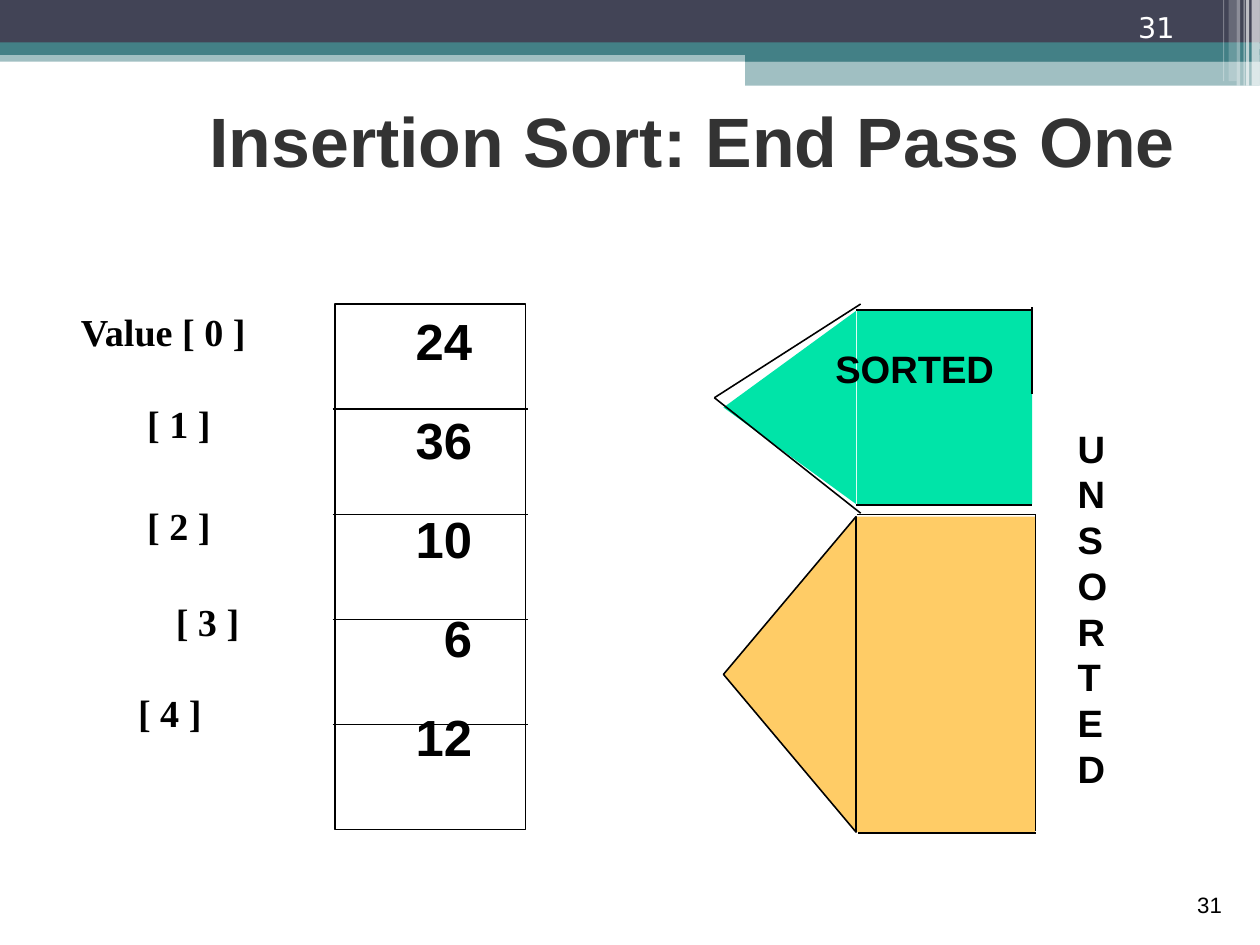
from lxml import etree
from pptx import Presentation
from pptx import util as u
from pptx.dml import color
from pptx.enum import shapes, text
from pptx.oxml import ns

ALIGN = text.PP_ALIGN
ANCHOR = text.MSO_ANCHOR
BLACK = "000000"


def paint(hue):
    """Turn a hex string into a colour."""
    return color.RGBColor.from_string(hue)


def block(slide, x, y, w, h, fill=None, line=None, alpha=100, kind="RECTANGLE", turn=0):
    """Draw a preset shape that fills the box after it is turned."""
    if turn in (90, 270):
        x, y, w, h = x + (w - h) / 2, y + (h - w) / 2, h, w
    shape = slide.shapes.add_shape(
        shapes.MSO_SHAPE[kind], *map(u.Inches, (x, y, w, h)))
    shape.shadow.inherit = False
    shape.rotation = turn
    if fill:
        shape.fill.solid()
        shape.fill.fore_color.rgb = paint(fill)
        if alpha < 100:
            tint = shape.fill._xPr.find(".//" + ns.qn("a:srgbClr"))
            etree.SubElement(tint, ns.qn("a:alpha"), val=str(alpha * 1000))
    else:
        shape.fill.background()
    if line:
        shape.line.color.rgb = paint(line)
        shape.line.width = u.Pt(1)
    else:
        shape.line.fill.background()


def rule(slide, x1, y1, x2, y2):
    """Draw a thin black line."""
    line = slide.shapes.add_connector(
        shapes.MSO_CONNECTOR.STRAIGHT, *map(u.Inches, (x1, y1, x2, y2)))
    line.line.color.rgb = paint(BLACK)
    line.line.width = u.Pt(1)
    etree.SubElement(line._element.spPr, ns.qn("a:effectLst"))


def write(shape, rows, size, font="Arial", hue=BLACK, bold=True,
          align=ALIGN.LEFT, anchor=ANCHOR.TOP, gaps=None, steps=None):
    """Write one paragraph per row with its own gap and indent."""
    frame = shape.text_frame
    frame.word_wrap = True
    frame.auto_size = text.MSO_AUTO_SIZE.NONE
    frame.vertical_anchor = anchor
    for i, row in enumerate(rows):
        para = frame.add_paragraph() if i else frame.paragraphs[0]
        para.alignment = align
        if i and gaps:
            para.space_before = u.Pt(gaps[i - 1])
        if steps:
            props = para._p.get_or_add_pPr()
            props.set("marL", str(u.Inches(steps[i])))
            props.set("indent", "0")
        run = para.add_run()
        run.text = row
        run.font.size = u.Pt(size)
        run.font.name = font
        run.font.bold = bold
        run.font.color.rgb = paint(hue)


def label(slide, x, y, w, h, rows, size, **style):
    """Add a text box and write its rows."""
    box = slide.shapes.add_textbox(*map(u.Inches, (x, y, w, h)))
    write(box, rows, size, **style)


def header(slide, x, y, w):
    """Draw the top bands, the ticks at their right end and the number."""
    half = x + 6.52
    bands = [(x, 0.44, w, 0.1, "438086", 50), (x, 0, w, 0.38, "424456", 100),
             (x, 0.37, w, 0.11, "438086", 100),
             (half, 0.43, 4.5, 0.11, "438086", 100),
             (half, 0.53, 4.5, 0.22, "438086", 50)]
    for left, top, wide, high, fill, alpha in bands:
        block(slide, left, y + top, wide, high, fill, alpha=alpha)
    ticks = [(0.07, 0.07, 0.75, 65), (0.12, 0.03, 0.75, 65), (0.14, 0.01, 0.75, 60),
             (0.2, 0.03, 0.75, 40), (0.27, 0.07, 0.71, 20), (0.32, 0.01, 0.71, 30)]
    for back, wide, high, alpha in ticks:
        block(slide, x + w - back, y, wide, high, "FFFFFF", alpha=alpha)
    label(slide, x + 9.86, y, 0.92, 0.44, ["31"], 18, font="DejaVu Sans",
          hue="FFFFFF", bold=False, anchor=ANCHOR.BOTTOM)


def title(slide, x, y, w, h):
    """Place and fill the title."""
    head = slide.shapes.title
    head.left, head.top, head.width, head.height = map(u.Inches, (x, y, w, h))
    write(head, ["Insertion Sort: End Pass One"], 44, hue="333333",
          align=ALIGN.CENTER, anchor=ANCHOR.BOTTOM)


def array(slide, x, y, w, h):
    """Draw the array cells, their values and their index labels."""
    label(slide, x - 2.32, y - 0.01, 2.2, 4,
          ["Value [ 0 ]", "[ 1 ]", "[ 2 ]", "[ 3 ]", "[ 4 ]"], 24,
          font="Times New Roman", gaps=[28.8, 36, 31.2, 28.8],
          steps=[0, 0.58, 0.58, 0.83, 0.5])
    block(slide, x, y, w, h, line=BLACK)
    for i in range(1, 5):
        rule(slide, x - 0.02, y + i * h / 5, x + w + 0.02, y + i * h / 5)
    label(slide, x + 0.4, y, 0.9, 4.1, ["24", "36", "10", "6", "12"], 32,
          align=ALIGN.RIGHT, gaps=[24] * 4)


def arrow(slide, x, y, w, h, fill, edge, lines):
    """Draw a left-pointing block with lines placed from its corner."""
    head = 1.16
    block(slide, x, y, head, h, fill, edge, kind="ISOSCELES_TRIANGLE", turn=270)
    block(slide, x + head + 0.01, y, w - head - 0.01, h, fill)
    for x1, y1, x2, y2 in lines:
        rule(slide, x + x1, y + y1, x + x2, y + y2)


def parts(slide, x, y, w, h):
    """Draw the unsorted and sorted parts with their names."""
    high = 2.76
    arrow(slide, x, y + h - high, w, high, "FFCC66", BLACK,
          [(1.17, -0.02, w, -0.02), (1.18, 2.77, w, 2.77), (w, -0.02, w, 2.75)])
    label(slide, x + w + 0.27, y + 0.95, 0.5, 3.3, "UNSORTED", 24)
    arrow(slide, x, y, w - 0.03, 1.69, "00E4A8", None,
          [(1.16, -0.01, 2.69, -0.01), (1.16, 1.7, 2.7, 1.7),
           (-0.08, 0.76, 1.2, -0.06), (-0.08, 0.76, 1.2, 1.77),
           (2.7, -0.03, 2.7, 0.73)])
    label(slide, x + 0.88, y + 0.25, 1.65, 0.5, ["SORTED"], 24)


def main():
    """Build and save the slide."""
    deck = Presentation()
    deck.slide_width, deck.slide_height = u.Cm(28), u.Cm(21)
    slide = deck.slides.add_slide(deck.slide_layouts[5])
    header(slide, 0, 0, 11.02)
    title(slide, 1.53, 0.26, 9.07, 1.38)
    array(slide, 2.93, 2.66, 1.67, 4.6)
    parts(slide, 6.33, 2.72, 2.73, 4.56)
    label(slide, 8.49, 7.53, 2.3, 0.55, ["31"], 14, bold=False,
          align=ALIGN.RIGHT, anchor=ANCHOR.BOTTOM)
    deck.save("out.pptx")


if __name__ == "__main__":
    main()
